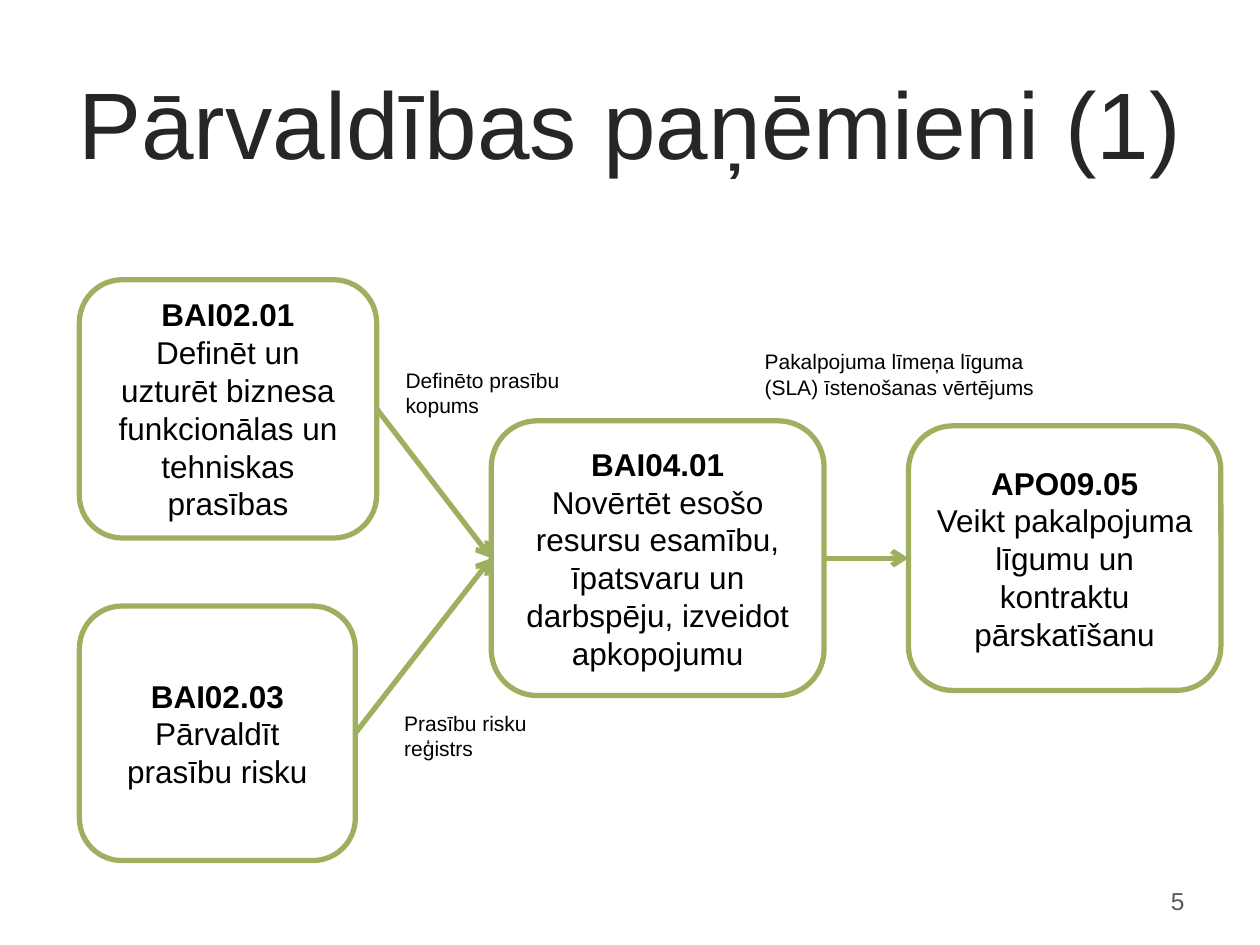
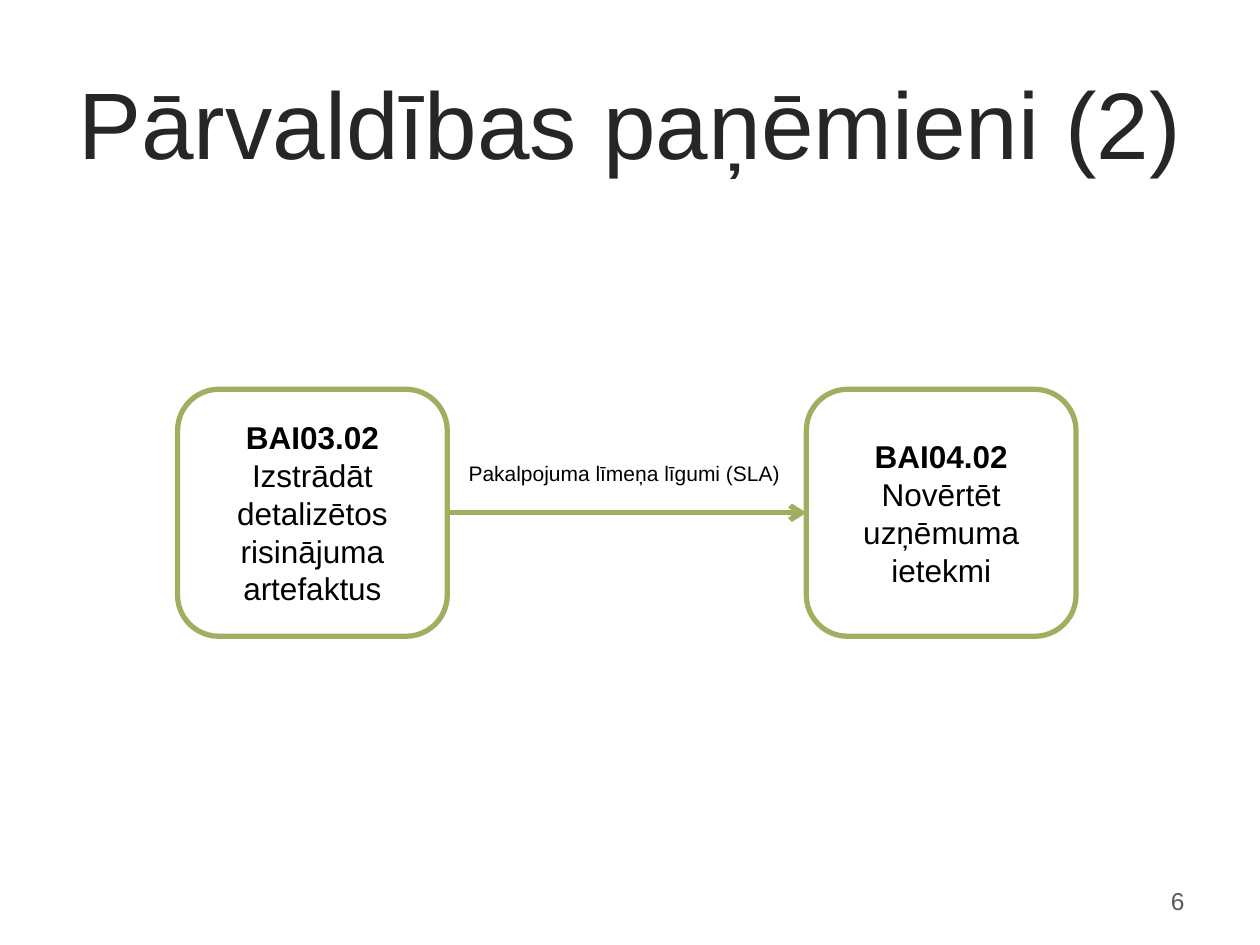
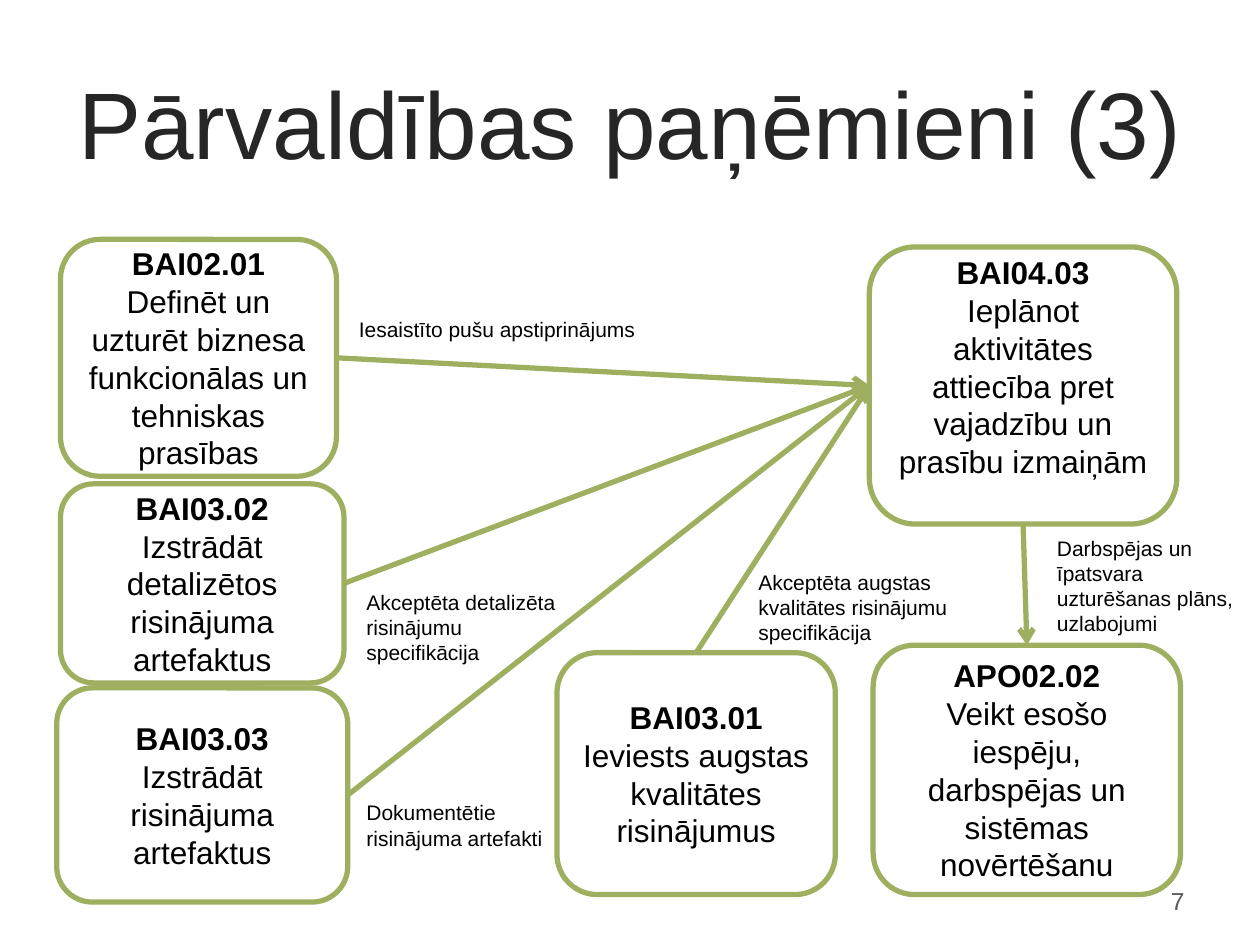
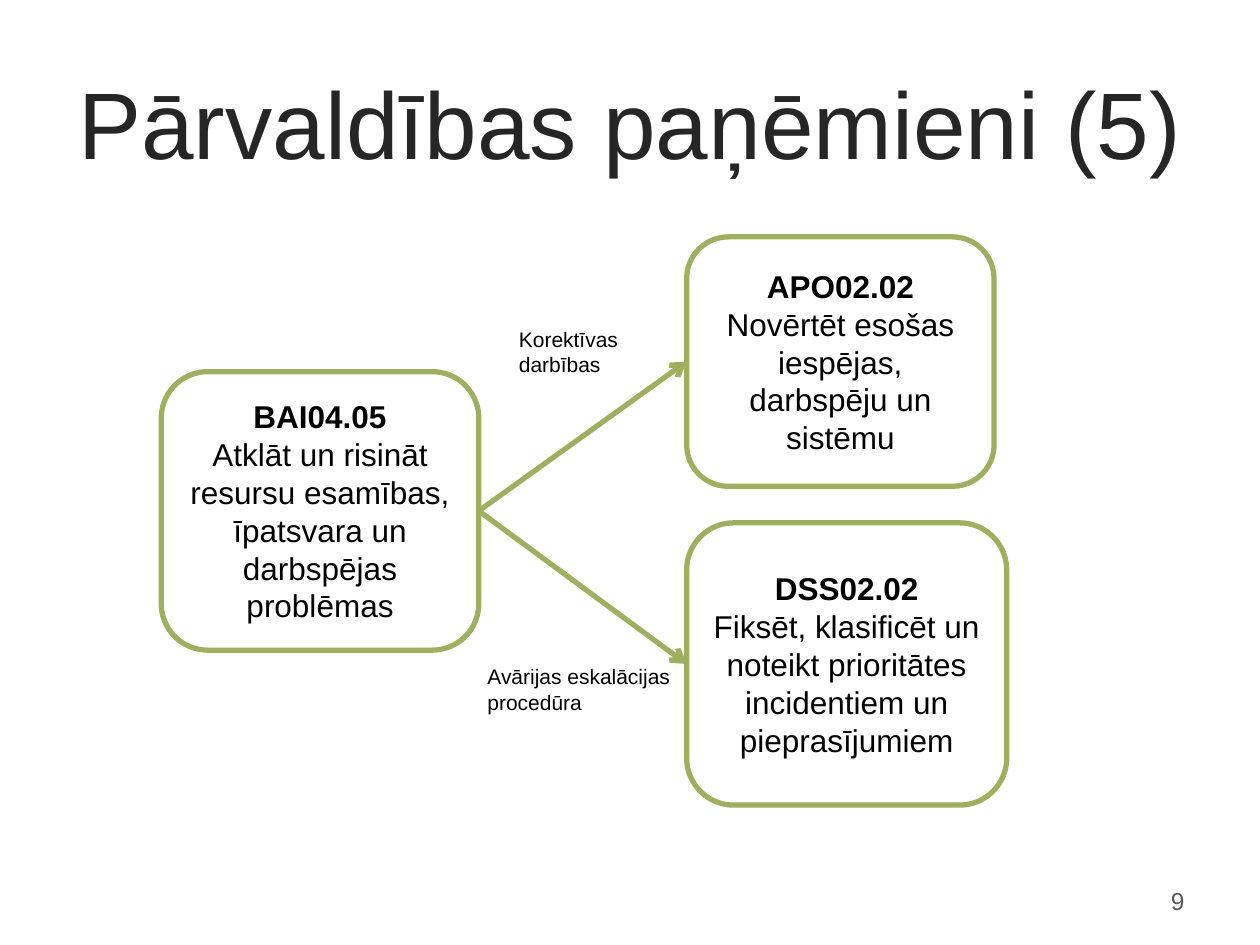
"""Build four slides of linked governance practices."""
from typing import NamedTuple

from lxml import etree
from pptx import Presentation
from pptx.dml.color import RGBColor
from pptx.enum.shapes import MSO_CONNECTOR, MSO_SHAPE
from pptx.enum.text import MSO_ANCHOR, MSO_AUTO_SIZE, PP_ALIGN
from pptx.oxml.ns import qn
from pptx.shapes.autoshape import Shape
from pptx.slide import Slide
from pptx.text.text import TextFrame
from pptx.util import Inches, Pt

ROUND = MSO_SHAPE.ROUNDED_RECTANGLE
STRAIGHT = MSO_CONNECTOR.STRAIGHT
MIDDLE, TOP = MSO_ANCHOR.MIDDLE, MSO_ANCHOR.TOP
LEFT, CENTER, RIGHT = PP_ALIGN.LEFT, PP_ALIGN.CENTER, PP_ALIGN.RIGHT
FIXED = MSO_AUTO_SIZE.NONE

FONT = "Arial"
GREEN, WHITE, BLACK = "9EB060", "FFFFFF", "000000"
DARK, GRAY = "262626", "595959"
STROKE = 3
ABOVE, BEFORE, BELOW, AFTER = range(4)


class Area(NamedTuple):
    """A place on the slide in inches."""
    left: float
    top: float
    width: float
    height: float


class Box(NamedTuple):
    """A practice with its code and its name."""
    code: str
    name: str
    area: Area
    foot: float = 0.05


class Link(NamedTuple):
    """An arrow between two boxes, given by code."""
    start: str
    end: str
    out: int = AFTER
    into: int = BEFORE


class Note(NamedTuple):
    """A caption beside an arrow."""
    text: str
    area: Area


class Page(NamedTuple):
    """The content of one slide."""
    order: int
    number: int
    boxes: list[Box]
    links: list[Link]
    notes: list[Note]


TITLE = Area(0, 0.34, 10, 1.25)
NUMBER = Area(7.17, 6.95, 2.33, 0.4)

PAGES = [
    Page(1, 5, [
        Box("BAI04.01", "Novērtēt esošo resursu esamību, īpatsvaru un "
            "darbspēju, izveidot apkopojumu", Area(3.9, 3.34, 2.64, 2.18)),
        Box("APO09.05", "Veikt pakalpojuma līgumu un kontraktu pārskatīšanu",
            Area(7.21, 3.38, 2.48, 2.1)),
        Box("BAI02.03", "Pārvaldīt prasību risku",
            Area(0.63, 4.81, 2.19, 2.02)),
        Box("BAI02.01", "Definēt un uzturēt biznesa funkcionālas un "
            "tehniskas prasības", Area(0.63, 2.22, 2.36, 2.05)),
    ], [
        Link("BAI02.01", "BAI04.01"),
        Link("BAI02.03", "BAI04.01"),
        Link("BAI04.01", "APO09.05"),
    ], [
        Note("Definēto prasību kopums", Area(3.12, 2.87, 1.79, 0.5)),
        Note("Prasību risku reģistrs", Area(3.11, 5.59, 1.28, 0.5)),
        Note("Pakalpojuma līmeņa līguma (SLA) īstenošanas vērtējums",
             Area(5.97, 2.72, 2.48, 0.5)),
    ]),
    Page(2, 6, [
        Box("BAI04.02", "Novērtēt uzņēmuma ietekmi",
            Area(6.4, 3.09, 2.14, 1.96)),
        Box("BAI03.02", "Izstrādāt detalizētos risinājuma artefaktus",
            Area(1.41, 3.09, 2.14, 1.96)),
    ], [
        Link("BAI03.02", "BAI04.02"),
    ], [
        Note("Pakalpojuma līmeņa līgumi (SLA)", Area(3.62, 3.61, 2.68, 0.3)),
    ]),
    Page(3, 7, [
        Box("BAI04.03", "Ieplānot aktivitātes attiecība pret vajadzību un "
            "prasību izmaiņām", Area(6.9, 1.96, 2.44, 2.2), 0.35),
        Box("BAI02.01", "Definēt un uzturēt biznesa funkcionālas un "
            "tehniskas prasības", Area(0.48, 1.9, 2.19, 1.88)),
        Box("BAI03.01", "Ieviests augstas kvalitātes risinājumus",
            Area(4.42, 5.18, 2.21, 1.92)),
        Box("BAI03.02", "Izstrādāt detalizētos risinājuma artefaktus",
            Area(0.48, 3.84, 2.25, 1.58)),
        Box("BAI03.03", "Izstrādāt risinājuma artefaktus",
            Area(0.45, 5.46, 2.31, 1.7)),
        Box("APO02.02", "Veikt esošo iespēju, darbspējas un sistēmas "
            "novērtēšanu", Area(6.93, 5.12, 2.44, 1.98)),
    ], [
        Link("BAI02.01", "BAI04.03"),
        Link("BAI03.02", "BAI04.03"),
        Link("BAI03.03", "BAI04.03"),
        Link("BAI03.01", "BAI04.03", ABOVE),
        Link("BAI04.03", "APO02.02", BELOW, ABOVE),
    ], [
        Note("Darbspējas un īpatsvara uzturēšanas plāns, uzlabojumi",
             Area(8.29, 4.2, 1.71, 0.91)),
        Note("Dokumentētie risinājuma artefakti",
             Area(2.81, 6.3, 1.61, 0.5)),
        Note("Akceptēta augstas kvalitātes risinājumu specifikācija",
             Area(5.92, 4.47, 1.78, 0.71)),
        Note("Akceptēta detalizēta risinājumu specifikācija",
             Area(2.81, 4.63, 1.75, 0.71)),
        Note("Iesaistīto pušu apstiprinājums", Area(2.75, 2.46, 2.49, 0.3)),
    ]),
    Page(5, 9, [
        Box("BAI04.05", "Atklāt un risināt resursu esamības, īpatsvara un "
            "darbspējas problēmas", Area(1.28, 2.95, 2.52, 2.21)),
        Box("DSS02.02", "Fiksēt, klasificēt un noteikt prioritātes "
            "incidentiem un pieprasījumiem", Area(5.45, 4.15, 2.54, 2.24)),
        Box("APO02.02", "Novērtēt esošas iespējas, darbspēju un sistēmu",
            Area(5.45, 1.88, 2.44, 1.98)),
    ], [
        Link("BAI04.05", "APO02.02"),
        Link("BAI04.05", "DSS02.02"),
    ], [
        Note("Korektīvas darbības", Area(4.02, 2.54, 1.21, 0.5)),
        Note("Avārijas eskalācijas\nprocedūra", Area(3.77, 5.22, 1.75, 0.5)),
    ]),
]


def color(code: str) -> RGBColor:
    """Turn a hex string into a colour."""
    return RGBColor.from_string(code)


def place(area: Area) -> list[int]:
    """Give the lengths of an area."""
    return [Inches(side) for side in area]


def write(frame: TextFrame, text: str, size: int, tint: str = BLACK,
          align: PP_ALIGN = LEFT, anchor: MSO_ANCHOR = TOP) -> None:
    """Fill a frame with text in one style."""
    frame.text = text
    frame.word_wrap = True
    frame.auto_size = FIXED
    frame.vertical_anchor = anchor
    for line in frame.paragraphs:
        line.alignment = align
        for run in line.runs:
            run.font.name = FONT
            run.font.size = Pt(size)
            run.font.color.rgb = color(tint)


def add_title(slide: Slide, order: int) -> None:
    """Set the slide title in its placeholder."""
    title = slide.shapes.title
    title.left, title.top, title.width, title.height = place(TITLE)
    write(title.text_frame, f"Pārvaldības paņēmieni ({order})", 54, DARK,
          CENTER, MIDDLE)


def add_box(slide: Slide, box: Box) -> Shape:
    """Draw a rounded box with a bold code above its name."""
    shape = slide.shapes.add_shape(ROUND, *place(box.area))
    shape.shadow.inherit = False
    shape.fill.solid()
    shape.fill.fore_color.rgb = color(WHITE)
    shape.line.color.rgb = color(GREEN)
    shape.line.width = Pt(STROKE)
    frame = shape.text_frame
    write(frame, f"{box.code}\n{box.name}", 18, BLACK, CENTER, MIDDLE)
    frame.margin_bottom = Inches(box.foot)
    frame.paragraphs[0].runs[0].font.bold = True
    return shape


def add_link(slide: Slide, link: Link, shapes: dict[str, Shape]) -> None:
    """Draw an arrow glued to two boxes."""
    arrow = slide.shapes.add_connector(STRAIGHT, 0, 0, 0, 0)
    arrow.begin_connect(shapes[link.start], link.out)
    arrow.end_connect(shapes[link.end], link.into)
    arrow.line.color.rgb = color(GREEN)
    arrow.line.width = Pt(STROKE)
    props = arrow.element.spPr
    etree.SubElement(props.find(qn("a:ln")), qn("a:tailEnd"), type="arrow")
    etree.SubElement(props, qn("a:effectLst"))


def add_text(slide: Slide, area: Area) -> TextFrame:
    """Add a text box and give its frame."""
    return slide.shapes.add_textbox(*place(area)).text_frame


def main() -> None:
    """Build and save the slides."""
    deck = Presentation()
    deck.slide_width, deck.slide_height = Inches(10), Inches(7.5)
    layout = deck.slide_layouts.get_by_name("Title Only")
    for page in PAGES:
        slide = deck.slides.add_slide(layout)
        add_title(slide, page.order)
        shapes = {box.code: add_box(slide, box) for box in page.boxes}
        for link in page.links:
            add_link(slide, link, shapes)
        for note in page.notes:
            write(add_text(slide, note.area), note.text, 12)
        write(add_text(slide, NUMBER), str(page.number), 14, GRAY, RIGHT,
              MIDDLE)
    deck.save("out.pptx")


main()
